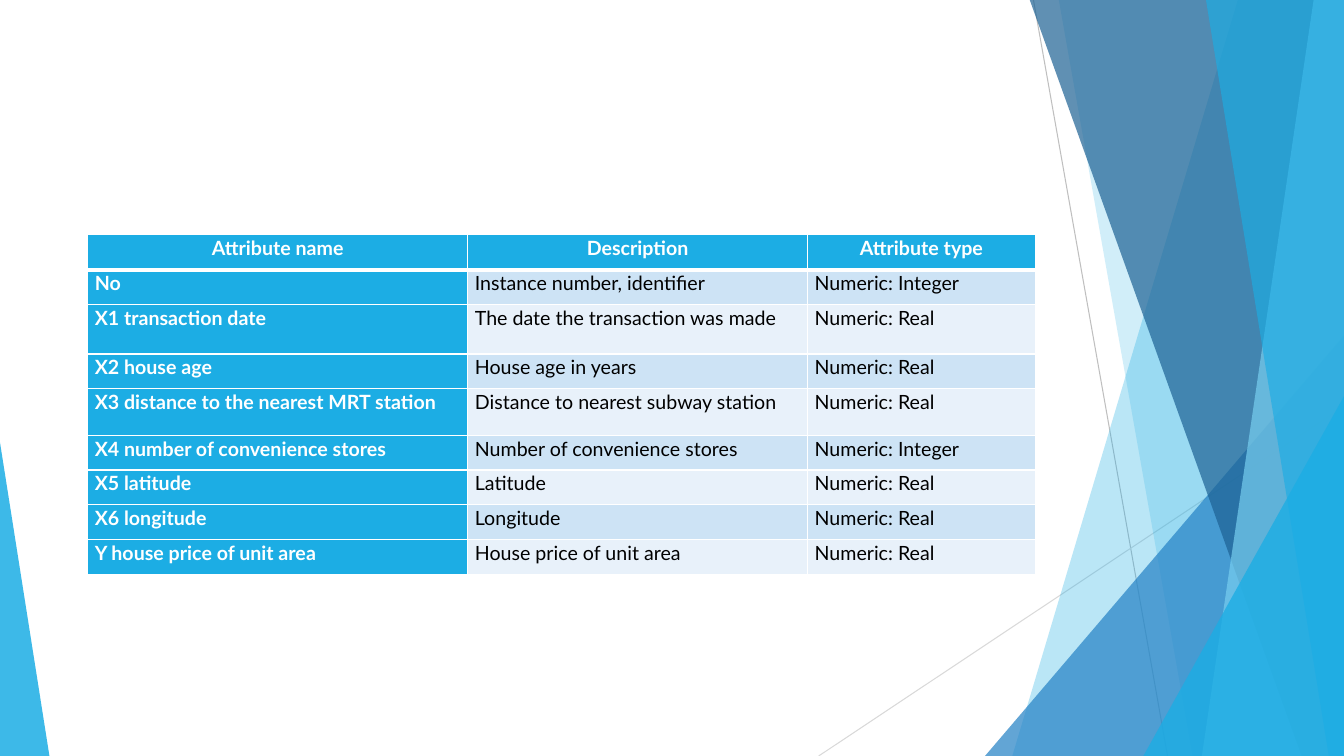
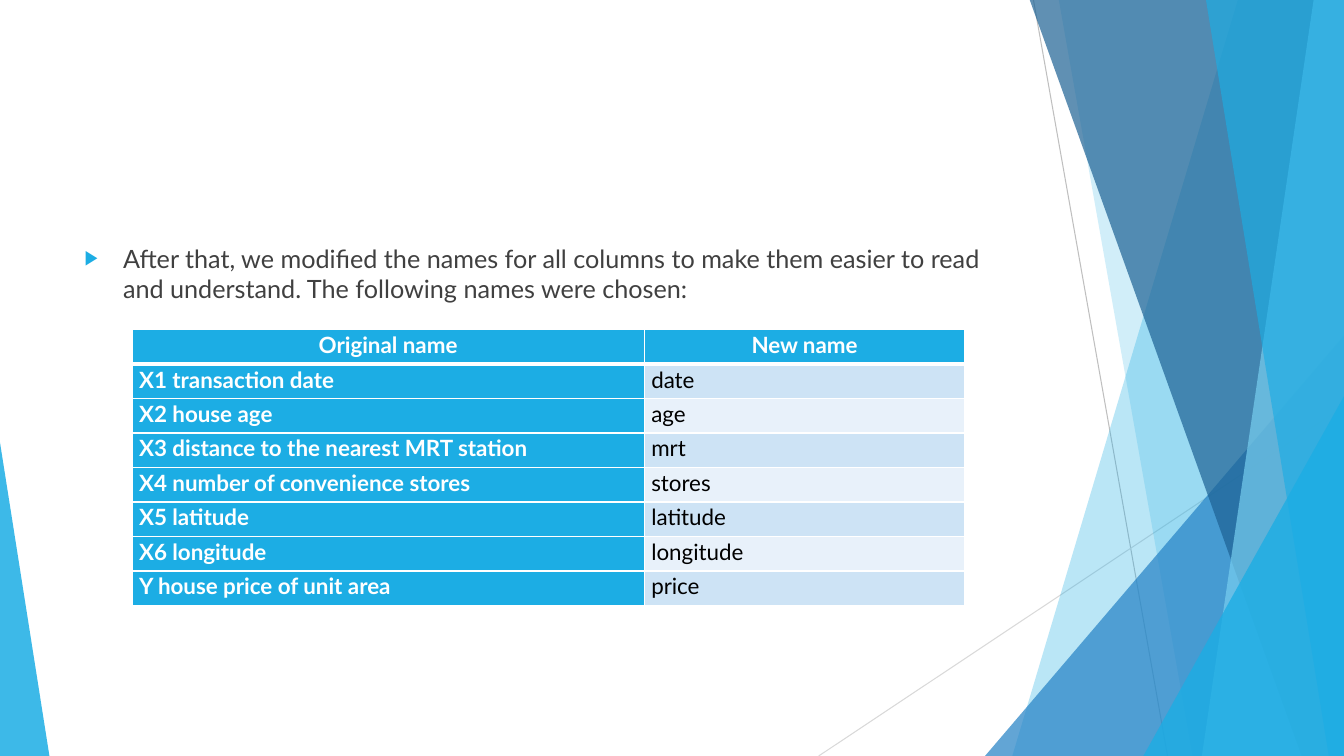
from lxml import etree
from pptx import Presentation
from pptx.dml.color import RGBColor
from pptx.enum import shapes, text
from pptx.oxml import ns
from pptx.util import Inches, Pt

HUES = {"sky": "1CADE4", "blue": "2683C6", "navy": "1D6294", "pale": "77CEEF",
        "gray": "BFBFBF", "mist": "D9D9D9", "ink": "404040", "black": "000000",
        "white": "FFFFFF", "odd": "CDE3F5", "even": "E8F1FA"}
FONT = "Lato"


def add(parent, tag, **attrs):
    return etree.SubElement(parent, ns.qn(tag), attrs)


def grid(slide, left, top, cols, highs, size, align, rows):
    frame = slide.shapes.add_table(len(rows), len(cols), Inches(left), Inches(top),
                                   Inches(sum(cols)), Inches(sum(highs)))
    table = frame.table
    for col, wide in zip(table.columns, cols):
        col.width = Inches(wide)
    for row, high in zip(table.rows, highs):
        row.height = Inches(high)
    for r, row in enumerate(rows):
        for c, word in enumerate(row):
            cell = table.cell(r, c)
            cell.margin_left = cell.margin_right = Inches(0.07)
            cell.margin_top = cell.margin_bottom = 0
            head = r == 0 or c == 0
            fill = "sky" if head else "odd" if r % 2 else "even"
            cell.fill.solid()
            cell.fill.fore_color.rgb = RGBColor.from_string(HUES[fill])
            para = cell.text_frame.paragraphs[0]
            para.text = word
            para.alignment = align if r else text.PP_ALIGN.CENTER
            para.line_spacing = 1.07
            font = para.runs[0].font
            font.name, font.size, font.bold = FONT, Pt(size), head
            font.color.rgb = RGBColor.from_string(HUES["white" if head else "black"])
            # White borders, thicker under the header row
            props = cell._tc.get_or_add_tcPr()
            for i, side in enumerate("LRTB"):
                thick = (r, side) in ((0, "B"), (1, "T"))
                line = add(props, "a:ln" + side, w=str(Pt(3 if thick else 1)))
                add(add(line, "a:solidFill"), "a:srgbClr", val=HUES["white"])
                props.insert(i, line)


deck = Presentation()
deck.slide_width, deck.slide_height = Inches(13.33), Inches(7.5)
first = deck.slides.add_slide(deck.slide_layouts[6])

# Shared backdrop: thin lines, then translucent bands and triangles
group = first.shapes.add_group_shape()
art = group.shapes
for x1, y1, x2, y2, hue in ((10.25, 0, 11.58, 7.5, "gray"),
                            (13.33, 4.03, 8.12, 7.5, "mist")):
    line = art.add_connector(shapes.MSO_CONNECTOR.STRAIGHT, Inches(x1), Inches(y1),
                             Inches(x2), Inches(y2))
    line.line.color.rgb = RGBColor.from_string(HUES[hue])
    line.line.width = Pt(0.75)
    add(line.element.spPr, "a:effectLst")

# Bands: top x, bottom x; triangles: left, top, width, height, apex
for spot, hue, alpha in (((12.28, 10.04), "sky", 30),
                         ((10.5, 11.83), "sky", 20),
                         ((9.77, 3.33, 3.56, 4.17, 1), "blue", 72),
                         ((10.21, 12.91), "navy", 70),
                         ((13.03, 11.92), "pale", 70),
                         ((11.96, 13.18), "sky", 65),
                         ((11.34, 3.93, 1.99, 3.57, 1), "sky", 80),
                         ((0, 4.39, 0.49, 3.11, 0), "sky", 85)):
    if len(spot) == 2:
        high, low = spot
        pen = art.build_freeform(Inches(high), Inches(-0.01))
        pen.add_line_segments([(Inches(x), Inches(y)) for x, y in
                               ((13.33, -0.01), (13.33, 7.5), (low, 7.5))])
        shape = pen.convert_to_shape()
    else:
        shape = art.add_shape(shapes.MSO_SHAPE.ISOSCELES_TRIANGLE,
                              *[Inches(n) for n in spot[:4]])
        shape.adjustments[0] = spot[4]
    shape.shadow.inherit = False
    shape.line.fill.background()
    shape.fill.solid()
    shape.fill.fore_color.rgb = RGBColor.from_string(HUES[hue])
    tint = shape.element.spPr.find(".//" + ns.qn("a:srgbClr"))
    add(tint, "a:alpha", val=str(alpha * 1000))

# The backdrop belongs to the master, behind everything else
deck.slide_master.shapes.element.insert(2, group.element)

# Slide 1: attributes of the data set
small = (3.37 - 0.49 - 0.46) / 7
highs = [small] * 9
highs[2], highs[4] = 0.49, 0.46
grid(first, 0.87, 2.33, (3.77, 3.37, 2.26), highs, 14, text.PP_ALIGN.JUSTIFY, (
    ("Attribute name", "Description", "Attribute type"),
    ("No", "Instance number, identifier", "Numeric: Integer"),
    ("X1 transaction date", "The date the transaction was made", "Numeric: Real"),
    ("X2 house age", "House age in years", "Numeric: Real"),
    ("X3 distance to the nearest MRT station", "Distance to nearest subway station",
     "Numeric: Real"),
    ("X4 number of convenience stores", "Number of convenience stores",
     "Numeric: Integer"),
    ("X5 latitude", "Latitude", "Numeric: Real"),
    ("X6 longitude", "Longitude", "Numeric: Real"),
    ("Y house price of unit area", "House price of unit area", "Numeric: Real")))

# Slide 2: bullet above the table of new names
second = deck.slides.add_slide(deck.slide_layouts[1])
title = second.shapes.title.element
title.getparent().remove(title)
body = second.placeholders[1]
body.left, body.top = Inches(0.74), Inches(2.36)
body.width, body.height = Inches(9.4), Inches(4.24)
para = body.text_frame.paragraphs[0]
para.text = ("After that, we modified the names for all columns to make them easier "
             "to read and understand. The following names were chosen:")
para.space_before = Pt(10)
font = para.runs[0].font
font.name, font.size = FONT, Pt(18)
font.color.rgb = RGBColor.from_string(HUES["ink"])
props = para._p.get_or_add_pPr()
props.set("marL", str(Inches(0.38)))
props.set("indent", str(Inches(-0.38)))
add(add(props, "a:buClr"), "a:srgbClr", val=HUES["sky"])
add(props, "a:buSzPct", val="80000")
add(props, "a:buChar", char="▶")

grid(second, 1.31, 3.27, (5.08, 3.18), [2.74 / 8] * 8, 16, text.PP_ALIGN.LEFT, (
    ("Original name", "New name"),
    ("X1 transaction date", "date"),
    ("X2 house age", "age"),
    ("X3 distance to the nearest MRT station", "mrt"),
    ("X4 number of convenience stores", "stores"),
    ("X5 latitude", "latitude"),
    ("X6 longitude", "longitude"),
    ("Y house price of unit area", "price")))

deck.save("out.pptx")
